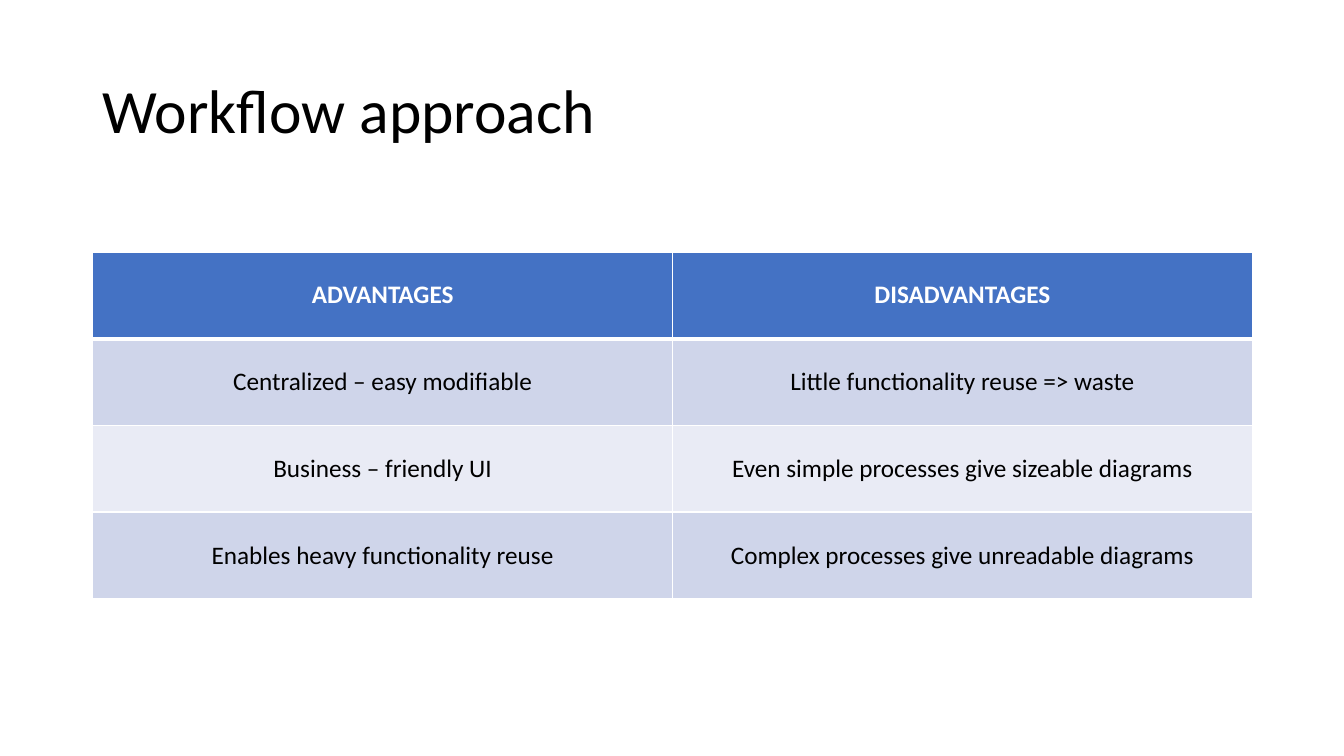
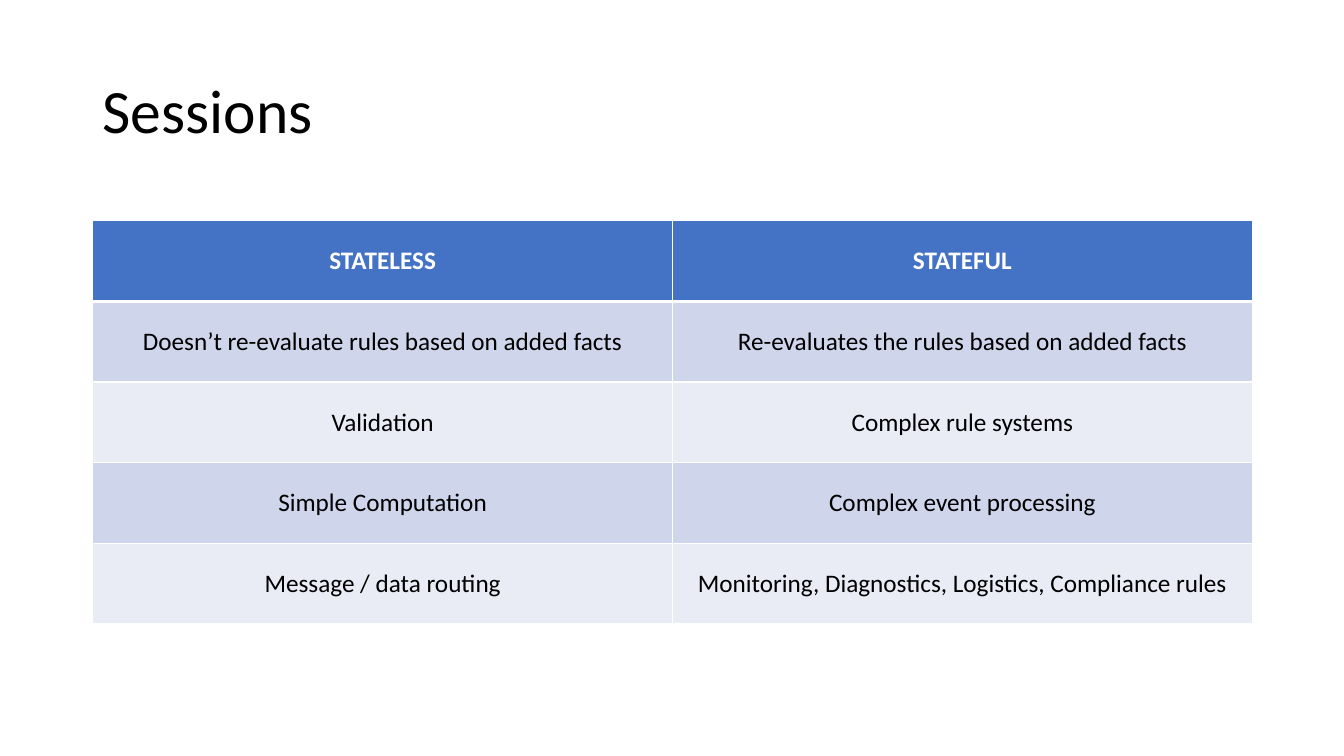
from dataclasses import dataclass

from lxml.etree import SubElement
from pptx import Presentation
from pptx.dml.color import RGBColor
from pptx.enum.text import MSO_ANCHOR, PP_ALIGN
from pptx.oxml.ns import qn
from pptx.util import Inches, Pt

# Shared look
FONT = "Calibri"
HUES = {
    "head": "4472C4",
    "odd": "CFD5EA",
    "even": "E9EBF5",
    "text": "000000",
    "white": "FFFFFF",
}
WIDE, HIGH = 13.33, 7.5
LEFT, SPAN = 0.92, 11.5
THIN, THICK = 1, 3


@dataclass
class Page:
    title: str
    top: float
    row: float
    cells: list[tuple[str, str]]


PAGES = [
    Page("Workflow approach", 2.5, 0.86, [
        ("ADVANTAGES", "DISADVANTAGES"),
        ("Centralized – easy modifiable", "Little functionality reuse => waste"),
        ("Business – friendly UI", "Even simple processes give sizeable diagrams"),
        ("Enables heavy functionality reuse", "Complex processes give unreadable diagrams"),
    ]),
    Page("Sessions", 2.19, 0.8, [
        ("STATELESS", "STATEFUL"),
        ("Doesn’t re-evaluate rules based on added facts",
         "Re-evaluates the rules based on added facts"),
        ("Validation", "Complex rule systems"),
        ("Simple Computation", "Complex event processing"),
        ("Message / data routing", "Monitoring, Diagnostics, Logistics, Compliance rules"),
    ]),
]


def add_run(para, text: str, size: int, hue: str, bold: bool = False) -> None:
    run = para.add_run()
    run.text = text
    run.font.name, run.font.size, run.font.bold = FONT, Pt(size), bold
    run.font.color.rgb = RGBColor.from_string(HUES[hue])


def add_title(slide, text: str) -> None:
    box = slide.shapes.add_textbox(Inches(LEFT), Inches(0.4), Inches(SPAN), Inches(1.45))
    frame = box.text_frame
    frame.word_wrap = True
    frame.vertical_anchor = MSO_ANCHOR.MIDDLE
    para = frame.paragraphs[0]
    para.line_spacing = 0.9
    add_run(para, text, 44, "text")


def set_edges(cell, top: int, base: int) -> None:
    props = cell._tc.get_or_add_tcPr()
    for side, width in zip("LRTB", (THIN, THIN, top, base)):
        line = SubElement(props, qn(f"a:ln{side}"), w=str(Pt(width)))
        fill = SubElement(line, qn("a:solidFill"))
        SubElement(fill, qn("a:srgbClr"), val=HUES["white"])


def add_grid(slide, page: Page) -> None:
    rows, cols = len(page.cells), len(page.cells[0])
    table = slide.shapes.add_table(
        rows, cols, Inches(LEFT), Inches(page.top), Inches(SPAN), Inches(page.row * rows)
    ).table
    for col in table.columns:
        col.width = Inches(SPAN / cols)
    for r, texts in enumerate(page.cells):
        table.rows[r].height = Inches(page.row)
        head = r == 0
        band = "head" if head else "odd" if r % 2 else "even"
        for c, text in enumerate(texts):
            cell = table.cell(r, c)
            # Heavy rule between the header and the body
            set_edges(cell, THICK if r == 1 else THIN, THICK if head else THIN)
            cell.fill.solid()
            cell.fill.fore_color.rgb = RGBColor.from_string(HUES[band])
            cell.vertical_anchor = MSO_ANCHOR.MIDDLE
            para = cell.text_frame.paragraphs[0]
            para.alignment = PP_ALIGN.CENTER
            add_run(para, text, 18, "white" if head else "text", head)


def main() -> None:
    deck = Presentation()
    deck.slide_width, deck.slide_height = Inches(WIDE), Inches(HIGH)
    for page in PAGES:
        slide = deck.slides.add_slide(deck.slide_layouts[6])
        add_title(slide, page.title)
        add_grid(slide, page)
    deck.save("out.pptx")


if __name__ == "__main__":
    main()
